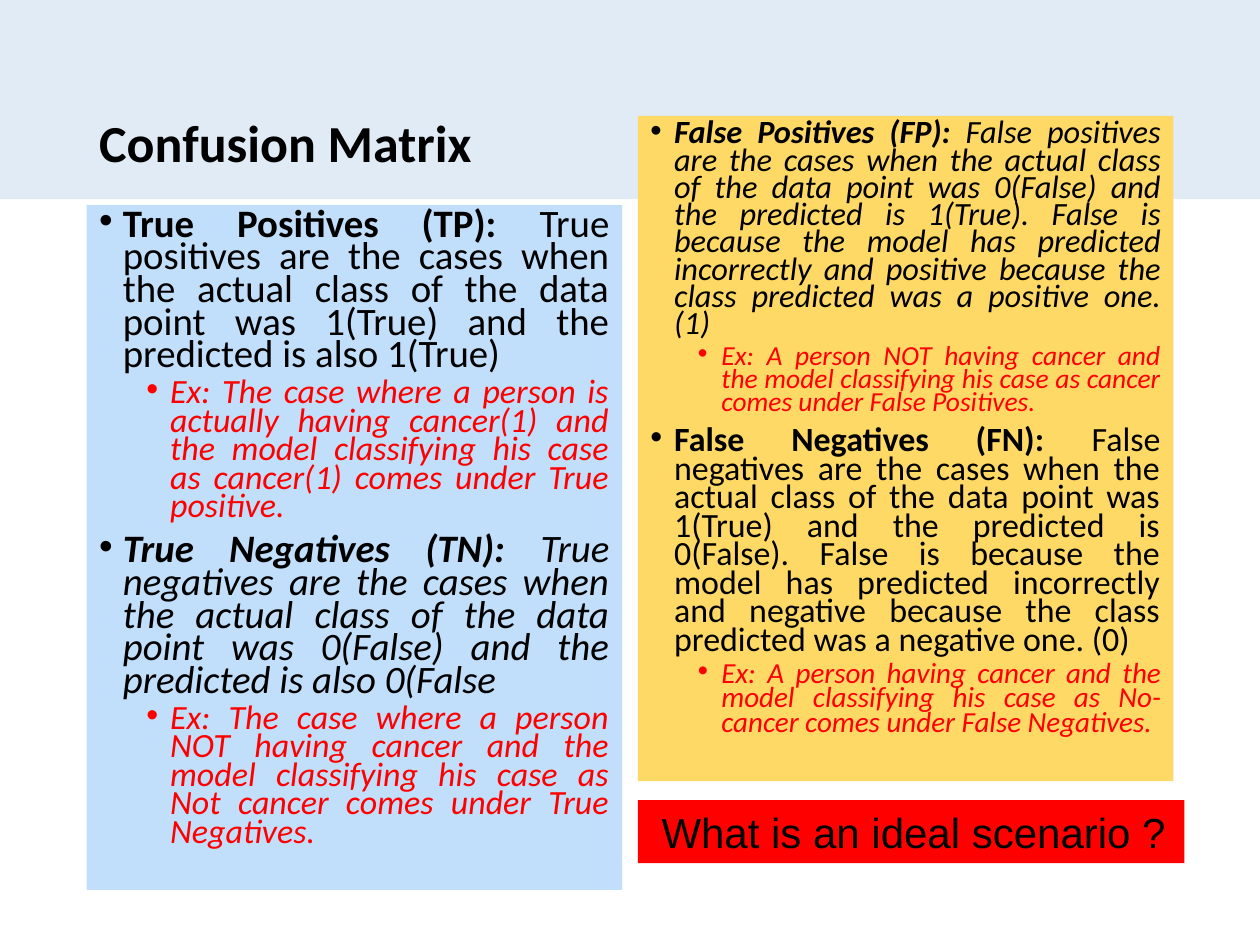
from dataclasses import dataclass

from lxml.etree import SubElement
from pptx import Presentation
from pptx.dml.color import RGBColor
from pptx.enum.shapes import MSO_SHAPE as Preset
from pptx.enum.text import MSO_ANCHOR as Anchor, MSO_AUTO_SIZE as AutoSize, PP_ALIGN as Align
from pptx.oxml.ns import qn
from pptx.util import Inches, Pt

SLIDE_WIDTH, SLIDE_HEIGHT = 10, 7.5
COLUMNS, ROWS = 160, 120
INDENT = 3  # hanging indent of bullets, in columns
COLORS = {
    "band": "E1EBF5",
    "true": "C1DEFA",
    "false": "FFD966",
    "alert": "FF0000",
    "text": "000000",
}


@dataclass
class Area:
    """A rectangle in grid columns and rows."""
    column: float
    row: float
    columns: float
    rows: float


@dataclass
class Outcome:
    term: str
    meaning: str
    example: str
    size: float
    example_size: float
    italic: bool


@dataclass
class Panel:
    area: Area
    color: str
    outcomes: list[Outcome]


PANELS = [
    Panel(Area(11, 26, 68, 87), "true", [
        Outcome(
            "True Positives (TP):",
            " True positives are the cases when the actual class of the data point "
            "was 1(True) and the predicted is also 1(True)",
            "Ex: The case where a person is actually having cancer(1) and the model "
            "classifying his case as cancer(1) comes under True positive.",
            22.2, 19.4, False),
        Outcome(
            "True Negatives (TN):",
            " True negatives are the cases when the actual class of the data point "
            "was 0(False) and the predicted is also 0(False",
            "Ex: The case where a person NOT having cancer and the model "
            "classifying his case as Not cancer comes under True Negatives.",
            22.2, 19.4, True),
    ]),
    Panel(Area(81, 14.7, 68, 84.5), "false", [
        Outcome(
            "False Positives (FP):",
            " False positives are the cases when the actual class of the data point "
            "was 0(False) and the predicted is 1(True). False is because the model has "
            "predicted incorrectly and positive because the class predicted was a "
            "positive one. (1)",
            "Ex: A person NOT having cancer and the model classifying his case as "
            "cancer comes under False Positives.",
            18.5, 15.7, True),
        Outcome(
            "False Negatives (FN):",
            " False negatives are the cases when the actual class of the data point "
            "was 1(True) and the predicted is 0(False). False is because the model has "
            "predicted incorrectly and negative because the class predicted was a "
            "negative one. (0)",
            "Ex: A person having cancer and the model classifying his case as "
            "No-cancer comes under False Negatives.",
            19.4, 16.6, False),
    ]),
]


def across(columns: float) -> int:
    return Inches(SLIDE_WIDTH * columns / COLUMNS)


def down(rows: float) -> int:
    return Inches(SLIDE_HEIGHT * rows / ROWS)


def place(shape, area: Area) -> None:
    shape.left, shape.top = across(area.column), down(area.row)
    shape.width, shape.height = across(area.columns), down(area.rows)


def paint(shape, color: str) -> None:
    shape.fill.solid()
    shape.fill.fore_color.rgb = RGBColor.from_string(COLORS[color])


def add_bar(slide, area: Area, color: str):
    bar = slide.shapes.add_shape(Preset.RECTANGLE, 0, 0, 0, 0)
    place(bar, area)
    paint(bar, color)
    bar.line.fill.background()
    bar.shadow.inherit = False
    return bar


def add_span(para, text: str, *, size: float, color: str = "text",
             font: str = "Calibri", bold: bool = False, italic: bool = False) -> None:
    span = para.add_run()
    span.text = text
    span.font.name, span.font.size = font, Pt(size)
    span.font.bold, span.font.italic = bold, italic
    span.font.color.rgb = RGBColor.from_string(COLORS[color])


def format_bullet(para, *, level: int, color: str, before: float) -> None:
    properties = para._p.get_or_add_pPr()
    properties.set("marL", str(across(INDENT * (1 + 2 * level))))
    properties.set("indent", str(-across(INDENT)))
    bullet_color = SubElement(properties, qn("a:buClr"))
    SubElement(bullet_color, qn("a:srgbClr"), val=COLORS[color])
    SubElement(properties, qn("a:buFont"), typeface="Arial")
    SubElement(properties, qn("a:buChar"), char="•")
    para.level = level
    para.alignment = Align.JUSTIFY
    para.line_spacing = 0.7
    para.space_before, para.space_after = Pt(before), Pt(0)


def fill_panel(body, panel: Panel) -> None:
    place(body, panel.area)
    paint(body, panel.color)
    frame = body.text_frame
    frame.auto_size = AutoSize.NONE
    for index, outcome in enumerate(panel.outcomes):
        para = frame.add_paragraph() if index else frame.paragraphs[0]
        format_bullet(para, level=0, color="text", before=7.5 if index else 0)
        add_span(para, outcome.term, size=outcome.size, bold=True, italic=outcome.italic)
        add_span(para, outcome.meaning, size=outcome.size, italic=outcome.italic)
        para = frame.add_paragraph()
        format_bullet(para, level=1, color="alert", before=3.8)
        add_span(para, outcome.example, size=outcome.example_size,
                 color="alert", italic=True)


def write_line(shape, text: str, **style) -> None:
    """Write one left-aligned, vertically centred line."""
    frame = shape.text_frame
    frame.word_wrap = True
    frame.auto_size = AutoSize.NONE
    frame.vertical_anchor = Anchor.MIDDLE
    para = frame.paragraphs[0]
    para.alignment = Align.LEFT
    add_span(para, text, **style)


def main() -> None:
    deck = Presentation()
    deck.slide_width, deck.slide_height = Inches(SLIDE_WIDTH), Inches(SLIDE_HEIGHT)
    slide = deck.slides.add_slide(deck.slide_layouts.get_by_name("Two Content"))
    title, *bodies = slide.placeholders

    band = add_bar(slide, Area(0, 0, COLUMNS, 25.3), "band")
    title._element.addprevious(band._element)

    place(title, Area(11, 6.4, 138, 23.2))
    write_line(title, "Confusion Matrix", size=29.7, bold=True)
    for body, panel in zip(bodies, PANELS):
        fill_panel(body, panel)

    question = add_bar(slide, Area(81, 101.6, 69.4, 8), "alert")
    question.text_frame.margin_left = across(INDENT)
    write_line(question, "What is an ideal scenario ?", size=24, font="Arial")

    deck.save("out.pptx")


if __name__ == "__main__":
    main()
